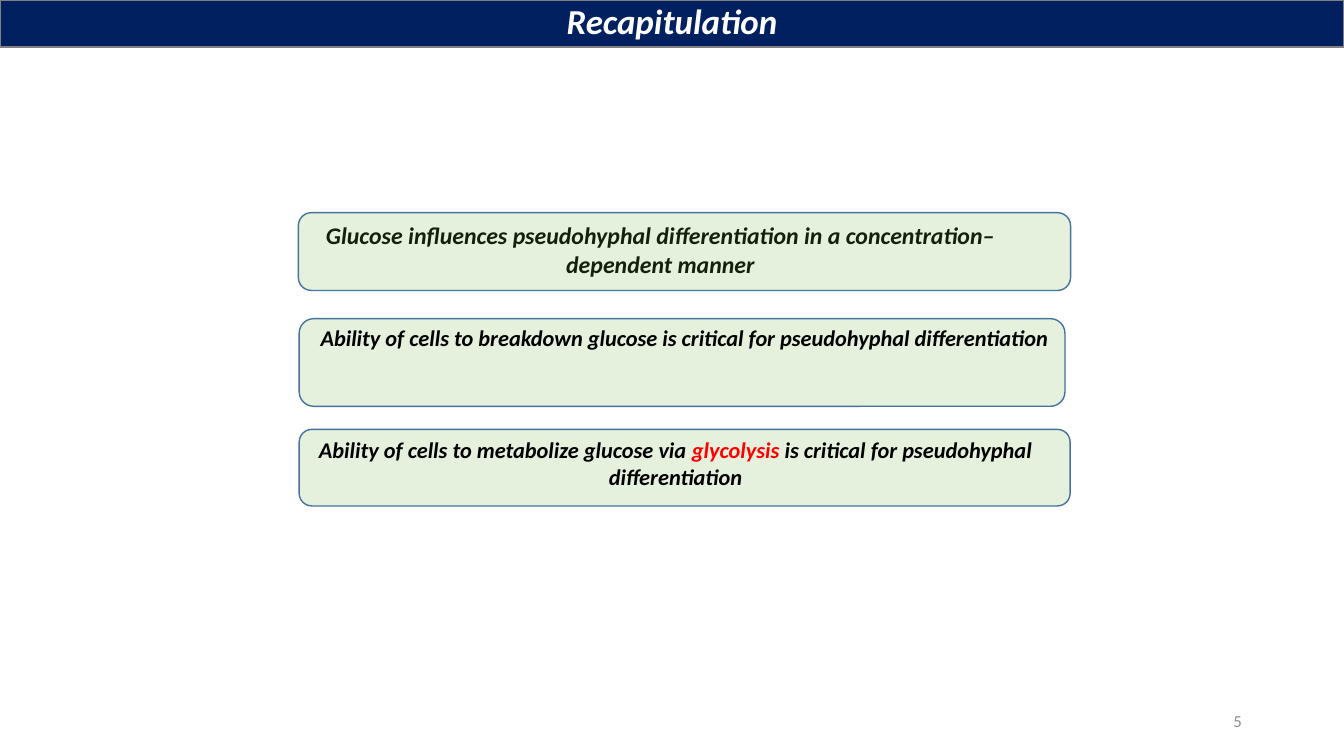
from dataclasses import dataclass

from lxml import etree
from pptx import Presentation
from pptx import util as u
from pptx.dml import color
from pptx.enum import shapes, text
from pptx.oxml import ns


@dataclass(frozen=True)
class Theme:
    """Colours, type sizes and font of the slide."""
    font: str = "Calibri"
    navy: str = "002060"
    grey_line: str = "808080"
    green: str = "70AD47"
    blue_line: str = "43739E"
    black: str = "000000"
    red: str = "FF0000"
    white: str = "FFFFFF"
    number_grey: str = "8C8C8C"
    title_size: float = 25
    lead_size: float = 17
    body_size: float = 16
    number_size: float = 12
    panel_opacity: int = 18


THEME = Theme()
CENTER = text.PP_ALIGN.CENTER


def rgb(value):
    """Return a colour object for a hex value."""
    return color.RGBColor.from_string(value)


def write_text(shape, *runs, size, align=CENTER, bold=True, italic=True,
               anchor=text.MSO_ANCHOR.TOP, line_spacing=None):
    """Write (wording, colour) runs as one formatted paragraph."""
    frame = shape.text_frame
    frame.word_wrap = True
    frame.vertical_anchor = anchor
    paragraph = frame.paragraphs[0]
    paragraph.alignment = align
    paragraph.line_spacing = line_spacing
    for wording, run_color in runs:
        run = paragraph.add_run()
        run.text = wording
        run.font.name = THEME.font
        run.font.size = u.Pt(size)
        run.font.bold = bold
        run.font.italic = italic
        run.font.color.rgb = rgb(run_color)


def add_box(slide, kind, place, *, fill, line, line_width, opacity=100):
    """Add a filled and outlined preset shape at a place in centimetres."""
    shape = slide.shapes.add_shape(kind, *map(u.Cm, place))
    shape.shadow.inherit = False
    shape.fill.solid()
    shape.fill.fore_color.rgb = rgb(fill)
    if opacity < 100:
        fill_color = shape.fill._xPr.find(".//" + ns.qn("a:srgbClr"))
        etree.SubElement(fill_color, ns.qn("a:alpha"), val=str(opacity * 1000))
    shape.line.color.rgb = rgb(line)
    shape.line.width = u.Pt(line_width)
    return shape


def add_panel(slide, place):
    """Add a translucent green rounded panel."""
    return add_box(slide, shapes.MSO_SHAPE.ROUNDED_RECTANGLE, place,
                   fill=THEME.green, line=THEME.blue_line, line_width=1,
                   opacity=THEME.panel_opacity)


def add_label(slide, place, *runs, **text_format):
    """Add a text box holding the given runs."""
    label = slide.shapes.add_textbox(*map(u.Cm, place))
    write_text(label, *runs, **text_format)
    return label


def add_header(slide, wording):
    """Add the title bar across the top of the slide."""
    header = add_box(slide, shapes.MSO_SHAPE.RECTANGLE, (0, 0, 33.87, 1.19),
                     fill=THEME.navy, line=THEME.grey_line, line_width=1.5)
    write_text(header, (wording, THEME.white), size=THEME.title_size,
               anchor=text.MSO_ANCHOR.MIDDLE, line_spacing=0.85)


def main():
    """Build the recapitulation slide."""
    presentation = Presentation()
    presentation.slide_width = u.Cm(33.87)
    presentation.slide_height = u.Cm(19.05)
    slide = presentation.slides.add_slide(presentation.slide_layouts[6])

    add_label(slide, (6.93, 5.44, 19.43, 1.7),
              ("Glucose influences pseudohyphal differentiation in a "
               "concentration–dependent manner", THEME.black),
              size=THEME.lead_size)
    add_panel(slide, (7.52, 5.36, 19.46, 1.96))

    add_panel(slide, (7.54, 8.03, 19.3, 2.21))
    add_label(slide, (7.54, 8.05, 19.43, 1.63),
              ("Ability of cells to breakdown glucose is critical for "
               "pseudohyphal differentiation", THEME.black),
              size=THEME.body_size)

    add_panel(slide, (7.54, 10.82, 19.43, 1.93))
    add_label(slide, (7.54, 10.87, 18.97, 1.9),
              ("Ability of cells to metabolize glucose via ", THEME.black),
              ("glycolysis ", THEME.red),
              ("is critical for pseudohyphal differentiation", THEME.black),
              size=THEME.body_size)

    add_label(slide, (23.93, 17.65, 7.62, 1.02), ("5", THEME.number_grey),
              size=THEME.number_size, align=text.PP_ALIGN.RIGHT, bold=False,
              italic=False, anchor=text.MSO_ANCHOR.MIDDLE)
    add_header(slide, "Recapitulation")
    presentation.save("out.pptx")


if __name__ == "__main__":
    main()
